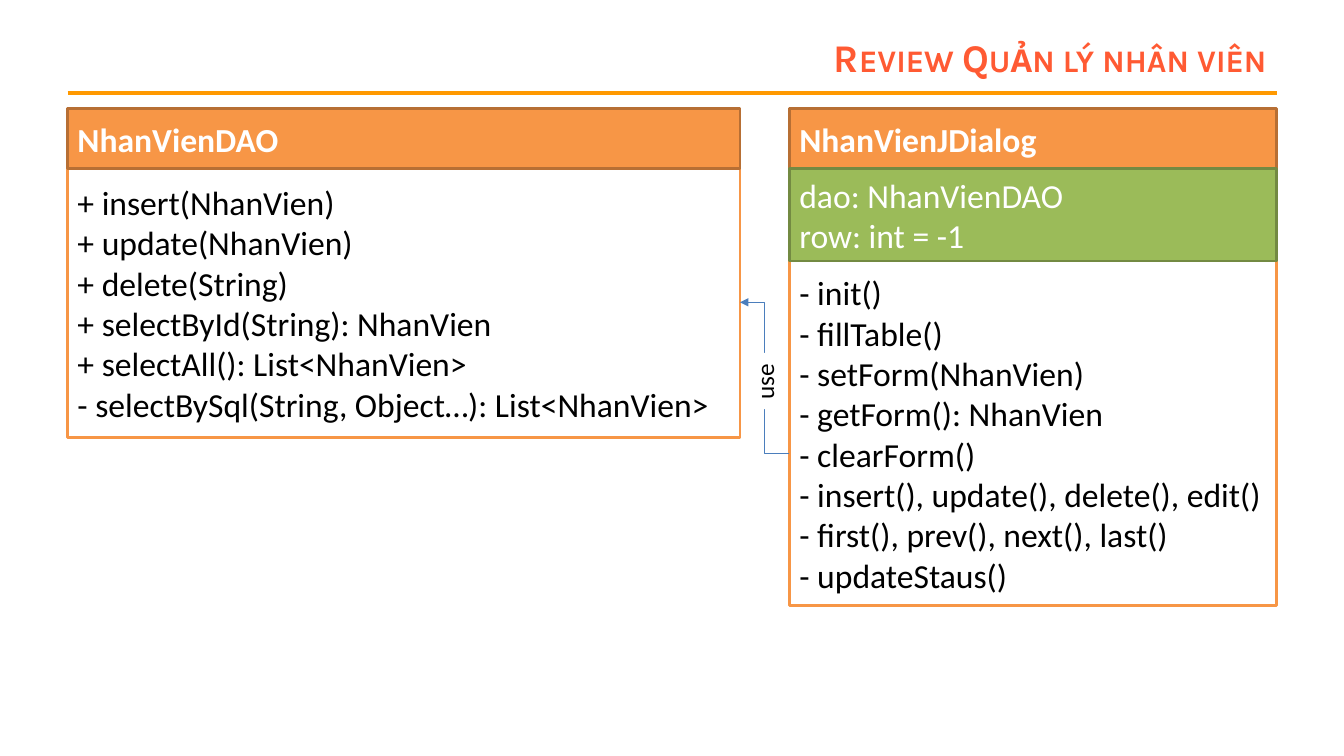
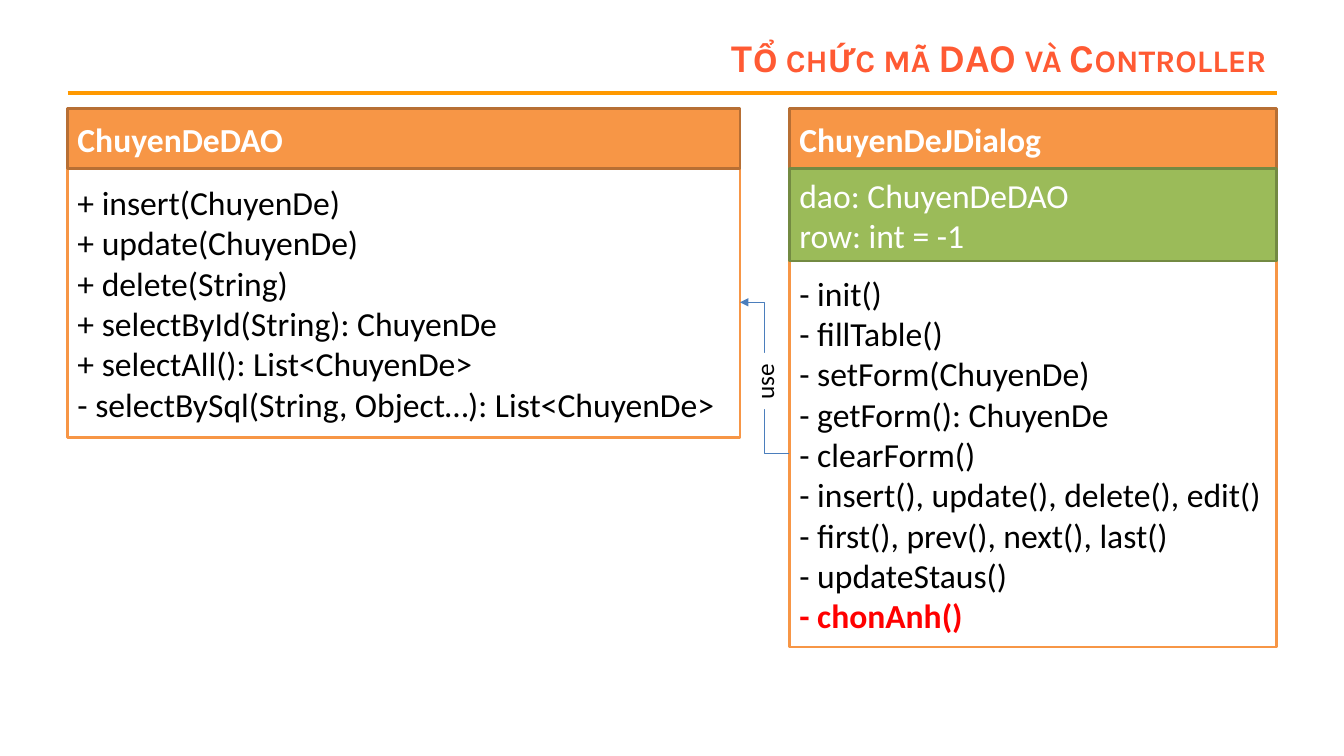
from pptx import Presentation
from pptx.dml.color import RGBColor
from pptx.enum.shapes import MSO_CONNECTOR, MSO_SHAPE
from pptx.enum.text import MSO_ANCHOR, PP_ALIGN
from pptx.oxml.ns import qn
from pptx.util import Inches, Pt
from lxml import etree

RECT = MSO_SHAPE.RECTANGLE
STRAIGHT, ELBOW = MSO_CONNECTOR.STRAIGHT, MSO_CONNECTOR.ELBOW
LEFT, RIGHT = PP_ALIGN.LEFT, PP_ALIGN.RIGHT
MIDDLE, TOP = MSO_ANCHOR.MIDDLE, MSO_ANCHOR.TOP

WHITE, BLACK, RED = "FFFFFF", "000000", "FF0000"
ORANGE, DARK_ORANGE = "F79646", "B76F34"
GREEN, DARK_GREEN = "9BBB59", "738A42"
BLUE, TITLE_COLOR, RULE_COLOR = "4B7EBC", "FF5A33", "FF9900"

CLASS_TOP, HEADER_H, FIELDS_H = 1.08, 0.59, 0.92
DAO_X, DAO_W, DAO_METHODS_H = 0.67, 6.67, 2.67
DIALOG_X, DIALOG_W = 7.83, 4.83


def rgb(value):
    return RGBColor.from_string(value)


class Deck:
    body = {"name": "Calibri", "size": Pt(24), "bold": False}
    heading = {**body, "bold": True}
    label = {**body, "size": Pt(18)}
    title_font = {"name": "Karla", "size": Pt(28), "bold": True}

    def __init__(self):
        self.prs = Presentation()
        self.prs.slide_width, self.prs.slide_height = Inches(13.33), Inches(7.5)
        self.s = None

    def new_slide(self, title):
        self.s = self.prs.slides.add_slide(self.prs.slide_layouts[6])
        self.line(STRAIGHT, (0.67, 0.92), (12.67, 0.92), RULE_COLOR, 3)
        sp = self.s.shapes.add_textbox(*map(Inches, (2.44, 0.3, 10.22, 0.53)))
        self.set_text(sp.text_frame, [title], self.title_font, TITLE_COLOR, RIGHT)
        for r in sp.text_frame.paragraphs[0].runs:
            r.font._element.set("cap", "small")

    def set_text(self, tf, lines, font, color, align=LEFT, anchor=MIDDLE, wrap=True):
        for name, value in {"word_wrap": wrap, "vertical_anchor": anchor}.items():
            setattr(tf, name, value)
        for i, text in enumerate(lines):
            p = tf.add_paragraph() if i else tf.paragraphs[0]
            p.alignment = align
            r = p.add_run()
            r.text = text
            for name, value in font.items():
                setattr(r.font, name, value)
            r.font.color.rgb = rgb(color)

    def box(self, at, fill, border=None):
        sp = self.s.shapes.add_shape(RECT, *map(Inches, at))
        sp.shadow.inherit = False
        sp.fill.solid()
        sp.fill.fore_color.rgb = rgb(fill)
        if border:
            sp.line.color.rgb = rgb(border)
            sp.line.width = Pt(2)
        else:
            sp.line.fill.background()
        return sp

    def line(self, kind, start, end, color, width, arrow=False):
        c = self.s.shapes.add_connector(kind, *map(Inches, start + end))
        c.line.color.rgb = rgb(color)
        c.line.width = Pt(width)
        if arrow:
            ln = c._element.spPr.find(qn("a:ln"))
            etree.SubElement(ln, qn("a:tailEnd"), type="triangle")
        etree.SubElement(c._element.spPr, qn("a:effectLst"))

    def class_box(self, x, w, name, methods, methods_h, fields=(), added=()):
        fields_y = CLASS_TOP + HEADER_H
        methods_y = fields_y + (FIELDS_H if fields else 0)
        sp = self.box((x, methods_y, w, methods_h), WHITE, ORANGE)
        self.set_text(sp.text_frame, [*methods, *added], self.body, BLACK)
        for p in sp.text_frame.paragraphs[len(methods):]:
            for r in p.runs:
                r.font.bold = True
                r.font.color.rgb = rgb(RED)
        sp = self.box((x, CLASS_TOP, w, HEADER_H), ORANGE, DARK_ORANGE)
        self.set_text(sp.text_frame, [name], self.heading, WHITE)
        if fields:
            sp = self.box((x, fields_y, w, FIELDS_H), GREEN, DARK_GREEN)
            self.set_text(sp.text_frame, fields, self.body, WHITE)

    def use_arrow(self):
        self.line(ELBOW, (DIALOG_X, 4.5), (DAO_X + DAO_W, 3), BLUE, 0.75, arrow=True)
        sp = self.box((7.3, 3.58, 0.56, 0.4), WHITE)
        sp.rotation = 270
        self.set_text(sp.text_frame, ["use"], self.label, BLACK, anchor=TOP, wrap=False)

    def class_slide(self, title, entity, dialog_methods_h, added=()):
        self.new_slide(title)
        dao_methods = [
            f"+ insert({entity})",
            f"+ update({entity})",
            "+ delete(String)",
            f"+ selectById(String): {entity}",
            f"+ selectAll(): List<{entity}>",
            f"- selectBySql(String, Object…): List<{entity}>",
        ]
        dialog_methods = [
            "- init()",
            "- fillTable()",
            f"- setForm({entity})",
            f"- getForm(): {entity}",
            "- clearForm()",
            "- insert(), update(), delete(), edit()",
            "- first(), prev(), next(), last()",
            "- updateStaus()",
        ]
        fields = [f"dao: {entity}DAO", "row: int = -1"]
        self.class_box(DAO_X, DAO_W, f"{entity}DAO", dao_methods, DAO_METHODS_H)
        self.class_box(DIALOG_X, DIALOG_W, f"{entity}JDialog", dialog_methods,
                       dialog_methods_h, fields, added)
        self.use_arrow()


def main():
    deck = Deck()
    deck.class_slide("Review Quản lý nhân viên", "NhanVien", 3.42)
    deck.class_slide("Tổ chức mã DAO và Controller", "ChuyenDe", 3.83, ["- chonAnh()"])
    deck.prs.save("out.pptx")


if __name__ == "__main__":
    main()
